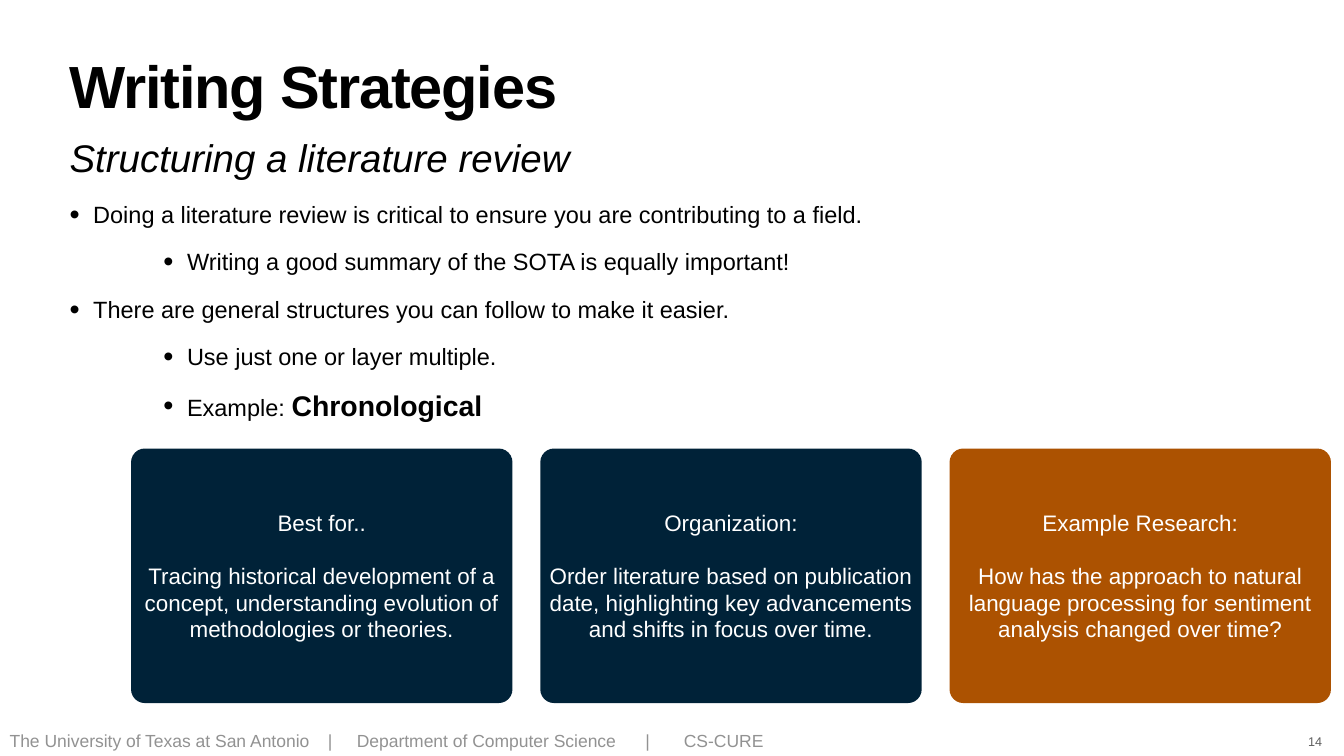
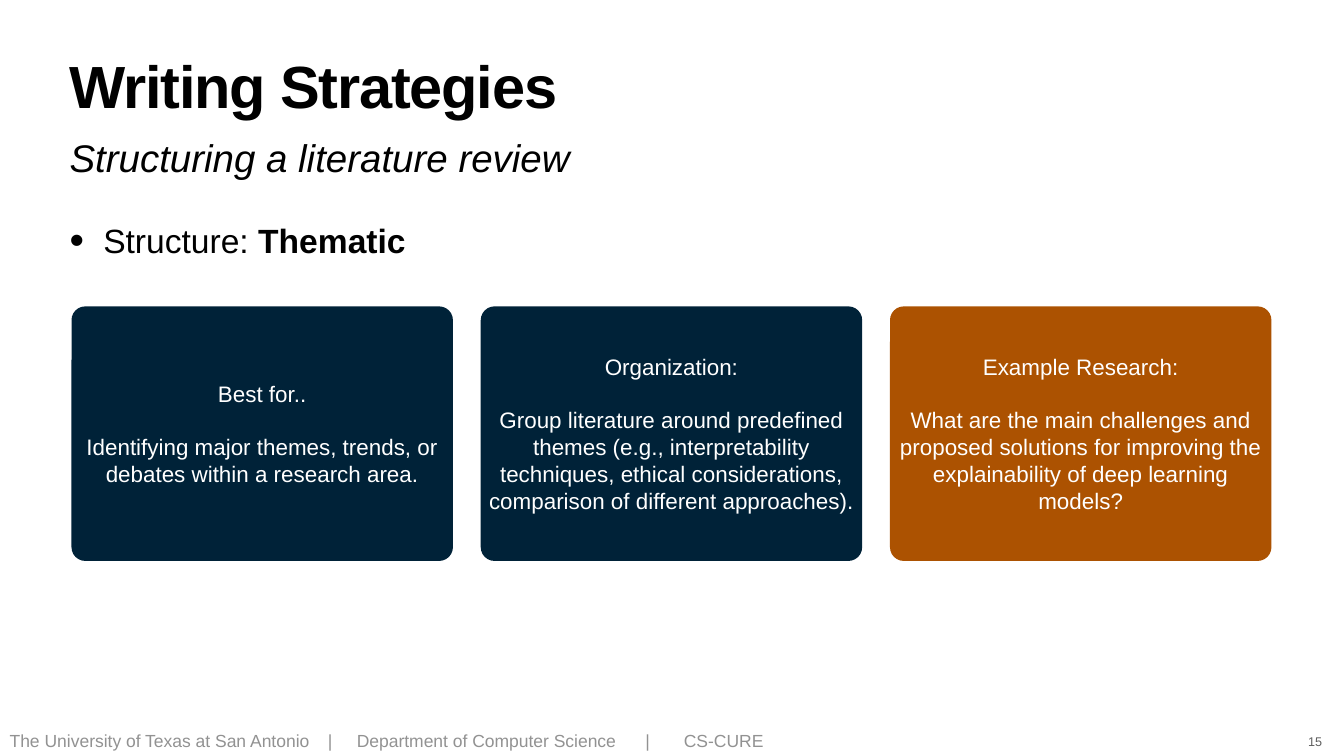
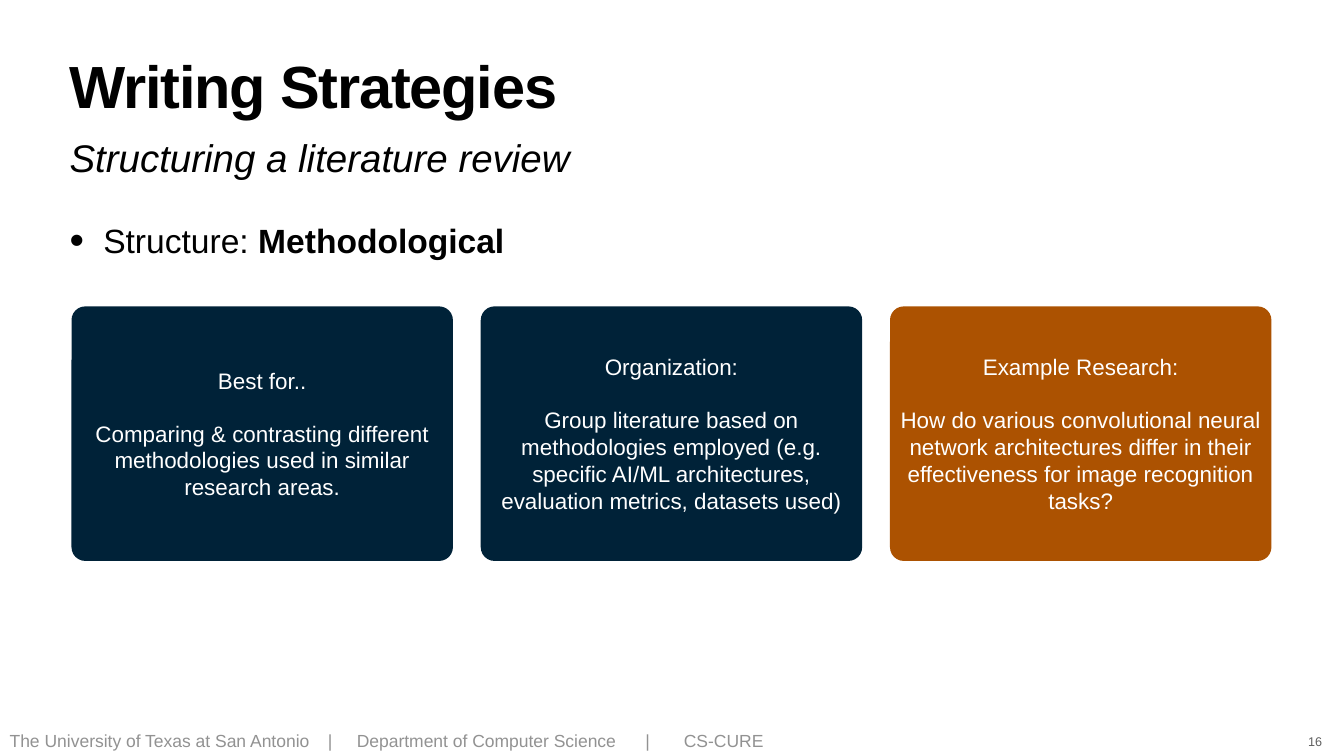
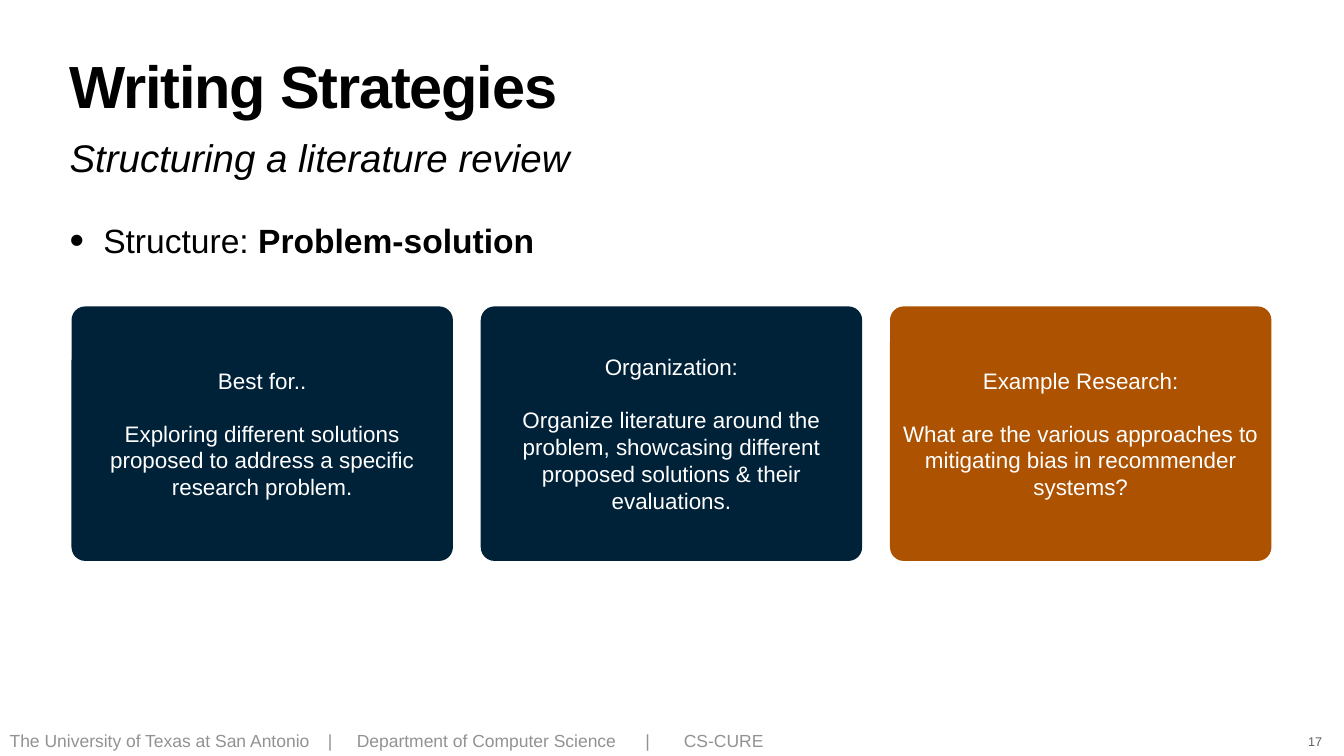
from dataclasses import dataclass
from typing import NamedTuple

from lxml import etree
from pptx import Presentation
from pptx.dml.color import RGBColor
from pptx.enum.shapes import MSO_SHAPE
from pptx.enum.text import MSO_ANCHOR, MSO_AUTO_SIZE, PP_ALIGN
from pptx.oxml.ns import qn
from pptx.util import Emu, Inches, Pt

ROUNDED = MSO_SHAPE.ROUNDED_RECTANGLE
TOP, MIDDLE, BOTTOM = MSO_ANCHOR.TOP, MSO_ANCHOR.MIDDLE, MSO_ANCHOR.BOTTOM
LEFT, CENTER, JUSTIFY = PP_ALIGN.LEFT, PP_ALIGN.CENTER, PP_ALIGN.JUSTIFY
FIXED_SIZE = MSO_AUTO_SIZE.NONE
TITLE_ONLY = 5

SLIDE_WIDTH, SLIDE_HEIGHT = Inches(26.67), Inches(15)
GRID = 100  # columns across and rows down the slide


@dataclass(frozen=True)
class Theme:
    font: str = "Arial"
    ink: str = "000000"
    paper: str = "FFFFFF"
    navy: str = "002238"
    orange: str = "AC5201"
    footer_grey: str = "929292"
    number_grey: str = "5E5E5E"
    title: float = 85
    subtitle: float = 55
    structure: float = 48
    emphasis: float = 40.6
    bullet: float = 33.6
    card: float = 32
    footer: float = 25
    number: float = 18
    title_tracking: float = -1.7
    card_gap: float = 36.8
    inset: float = 0.06


THEME = Theme()


class Area(NamedTuple):
    """A place on the slide, in grid columns and rows."""
    column: float
    row: float
    columns: float
    rows: float


class Span(NamedTuple):
    text: str
    size: float
    color: str = THEME.ink
    bold: bool = False
    italic: bool = False


class Bullet(NamedTuple):
    spans: list[Span]
    indent: float
    hanging: float
    space_before: float
    level: int = 0


class TabStop(NamedTuple):
    column: float
    alignment: str


@dataclass(frozen=True)
class Page:
    bullets: list[Bullet]
    bullet_area: Area
    cards_column: float
    cards_row: float
    card_texts: tuple[str, str, str]


MARGIN, CONTENT = 4.95, 90.1
TITLE_AREA = Area(MARGIN, 7.87, CONTENT, 10.47)
SUBTITLE_AREA = Area(MARGIN, 17.33, CONTENT, 6.8)
OUTLINE_AREA = Area(MARGIN, 26.53, CONTENT, 30.4)
STRUCTURE_AREA = Area(MARGIN, 29.27, CONTENT, 8.8)
FOOTER_AREA = Area(0.49, 96.33, 95.54, 3.47)
NUMBER_AREA = Area(97.11, 96.73, 1.5, 2.73)
CARD_COLUMNS, CARD_ROWS, CARD_PITCH = 28.38, 33.67, 30.45
CARD_CORNER = 0.054
CARD_STYLES = [
    ("Best for..", THEME.navy),
    ("Organization:", THEME.navy),
    ("Example Research:", THEME.orange),
]
FOOTER_TEXT = "\t".join(
    ["The University of Texas at San Antonio", "|",
     "Department of Computer Science", "|", "CS-CURE"])
FOOTER_TABS = [TabStop(23.85, "ctr"), TabStop(25.83, "l"),
               TabStop(47.47, "ctr"), TabStop(50.17, "l")]
FIRST_NUMBER = 14


def across(columns: float) -> Emu:
    return Emu(round(SLIDE_WIDTH * columns / GRID))


def down(rows: float) -> Emu:
    return Emu(round(SLIDE_HEIGHT * rows / GRID))


def bounds(area: Area) -> tuple[Emu, Emu, Emu, Emu]:
    return (across(area.column), down(area.row),
            across(area.columns), down(area.rows))


def prepare_frame(box, anchor=TOP, wrap: bool = True):
    frame = box.text_frame
    frame.auto_size = FIXED_SIZE
    frame.word_wrap = wrap
    frame.vertical_anchor = anchor
    frame.margin_left = frame.margin_right = Inches(THEME.inset)
    frame.margin_top = frame.margin_bottom = Inches(THEME.inset)
    return frame


def write(para, spans: list[Span], alignment=LEFT, line_spacing: float = 1.0) -> None:
    para.alignment = alignment
    para.line_spacing = line_spacing
    for span in spans:
        run = para.add_run()
        run.text = span.text
        font = run.font
        font.name, font.size = THEME.font, Pt(span.size)
        font.bold, font.italic = span.bold, span.italic
        font.color.rgb = RGBColor.from_string(span.color)


def add_text(slide, area: Area, span: Span, alignment=LEFT, anchor=TOP,
             wrap: bool = True, line_spacing: float = 1.0):
    box = slide.shapes.add_textbox(*bounds(area))
    frame = prepare_frame(box, anchor, wrap)
    write(frame.paragraphs[0], [span], alignment, line_spacing)
    return box


def set_title(slide) -> None:
    box = slide.shapes.title
    box.left, box.top, box.width, box.height = bounds(TITLE_AREA)
    para = prepare_frame(box).paragraphs[0]
    write(para, [Span("Writing Strategies", THEME.title, bold=True)], line_spacing=0.8)
    tracking = str(round(THEME.title_tracking * 100))
    para.runs[0].font._element.set("spc", tracking)


def add_bullets(slide, area: Area, bullets: list[Bullet]) -> None:
    frame = prepare_frame(slide.shapes.add_textbox(*bounds(area)))
    for index, bullet in enumerate(bullets):
        para = frame.add_paragraph() if index else frame.paragraphs[0]
        para.level = bullet.level
        para.space_before = Pt(bullet.space_before)
        write(para, bullet.spans, JUSTIFY, 0.9)
        properties = para._p.get_or_add_pPr()
        properties.set("marL", str(across(bullet.indent)))
        properties.set("indent", str(-across(bullet.hanging)))
        etree.SubElement(properties, qn("a:buSzPct"), val="123000")
        etree.SubElement(properties, qn("a:buFont"), typeface=THEME.font)
        etree.SubElement(properties, qn("a:buChar"), char="•")


def add_card(slide, area: Area, heading: str, text: str, fill: str) -> None:
    card = slide.shapes.add_shape(ROUNDED, *bounds(area))
    card.adjustments[0] = CARD_CORNER
    card.shadow.inherit = False
    card.fill.solid()
    card.fill.fore_color.rgb = RGBColor.from_string(fill)
    card.line.fill.background()
    frame = prepare_frame(card, MIDDLE)
    write(frame.paragraphs[0], [Span(heading, THEME.card, THEME.paper)], CENTER)
    body = frame.add_paragraph()
    body.space_before = Pt(THEME.card_gap)
    write(body, [Span(text, THEME.card, THEME.paper)], CENTER)


def add_footer(slide) -> None:
    """Set the footer on the slide's layout, so that every page shows it."""
    box = add_text(slide, FOOTER_AREA,
                   Span(FOOTER_TEXT, THEME.footer, THEME.footer_grey),
                   anchor=MIDDLE, line_spacing=0.9)
    properties = box.text_frame.paragraphs[0]._p.get_or_add_pPr()
    tabs = etree.SubElement(properties, qn("a:tabLst"))
    for stop in FOOTER_TABS:
        etree.SubElement(tabs, qn("a:tab"), pos=str(across(stop.column)),
                         algn=stop.alignment)
    slide.slide_layout.shapes.element.append(box.element)


def add_page(deck, page: Page, number: int):
    slide = deck.slides.add_slide(deck.slide_layouts[TITLE_ONLY])
    set_title(slide)
    add_text(slide, SUBTITLE_AREA,
             Span("Structuring a literature review", THEME.subtitle, italic=True))
    add_bullets(slide, page.bullet_area, page.bullets)
    add_text(slide, NUMBER_AREA, Span(str(number), THEME.number, THEME.number_grey),
             CENTER, BOTTOM, wrap=False)
    for index, ((heading, fill), text) in enumerate(zip(CARD_STYLES, page.card_texts)):
        area = Area(page.cards_column + index * CARD_PITCH, page.cards_row,
                    CARD_COLUMNS, CARD_ROWS)
        add_card(slide, area, heading, text, fill)
    return slide


def outline(*spans: Span, nested: bool = False) -> Bullet:
    return Bullet(list(spans), 8.74 if nested else 1.76, 1.76, 31, 4 if nested else 0)


def point(text: str) -> Span:
    return Span(text, THEME.bullet)


def structure_page(name: str, *card_texts: str) -> Page:
    spans = [Span("Structure: ", THEME.structure),
             Span(name, THEME.structure, bold=True)]
    return Page([Bullet(spans, 2.51, 2.51, 45)], STRUCTURE_AREA,
                5.32, 40.53, card_texts)


PAGES = [
    Page(
        [
            outline(point("Doing a literature review is critical to ensure you are "
                          "contributing to a field.")),
            outline(point("Writing a good summary of the SOTA is equally important!"),
                    nested=True),
            outline(point("There are general structures you can follow to make it easier.")),
            outline(point("Use just one or layer multiple."), nested=True),
            outline(point("Example: "),
                    Span("Chronological", THEME.emphasis, bold=True), nested=True),
        ],
        OUTLINE_AREA, 9.75, 59.33,
        (
            "Tracing historical development of a concept, understanding evolution of "
            "methodologies or theories.",
            "Order literature based on publication date, highlighting key advancements "
            "and shifts in focus over time.",
            "How has the approach to natural language processing for sentiment analysis "
            "changed over time?",
        ),
    ),
    structure_page(
        "Thematic",
        "Identifying major themes, trends, or debates within a research area.",
        "Group literature around predefined themes (e.g., interpretability techniques, "
        "ethical considerations, comparison of different approaches).",
        "What are the main challenges and proposed solutions for improving the "
        "explainability of deep learning models?",
    ),
    structure_page(
        "Methodological",
        "Comparing & contrasting different methodologies used in similar research areas.",
        "Group literature based on methodologies employed (e.g. specific AI/ML "
        "architectures, evaluation metrics, datasets used)",
        "How do various convolutional neural network architectures differ in their "
        "effectiveness for image recognition tasks?",
    ),
    structure_page(
        "Problem-solution",
        "Exploring different solutions proposed to address a specific research problem.",
        "Organize literature around the problem, showcasing different proposed "
        "solutions & their evaluations.",
        "What are the various approaches to mitigating bias in recommender systems?",
    ),
]


def main() -> None:
    deck = Presentation()
    deck.slide_width, deck.slide_height = SLIDE_WIDTH, SLIDE_HEIGHT
    slides = [add_page(deck, page, number)
              for number, page in enumerate(PAGES, FIRST_NUMBER)]
    add_footer(slides[0])
    deck.save("out.pptx")


if __name__ == "__main__":
    main()
